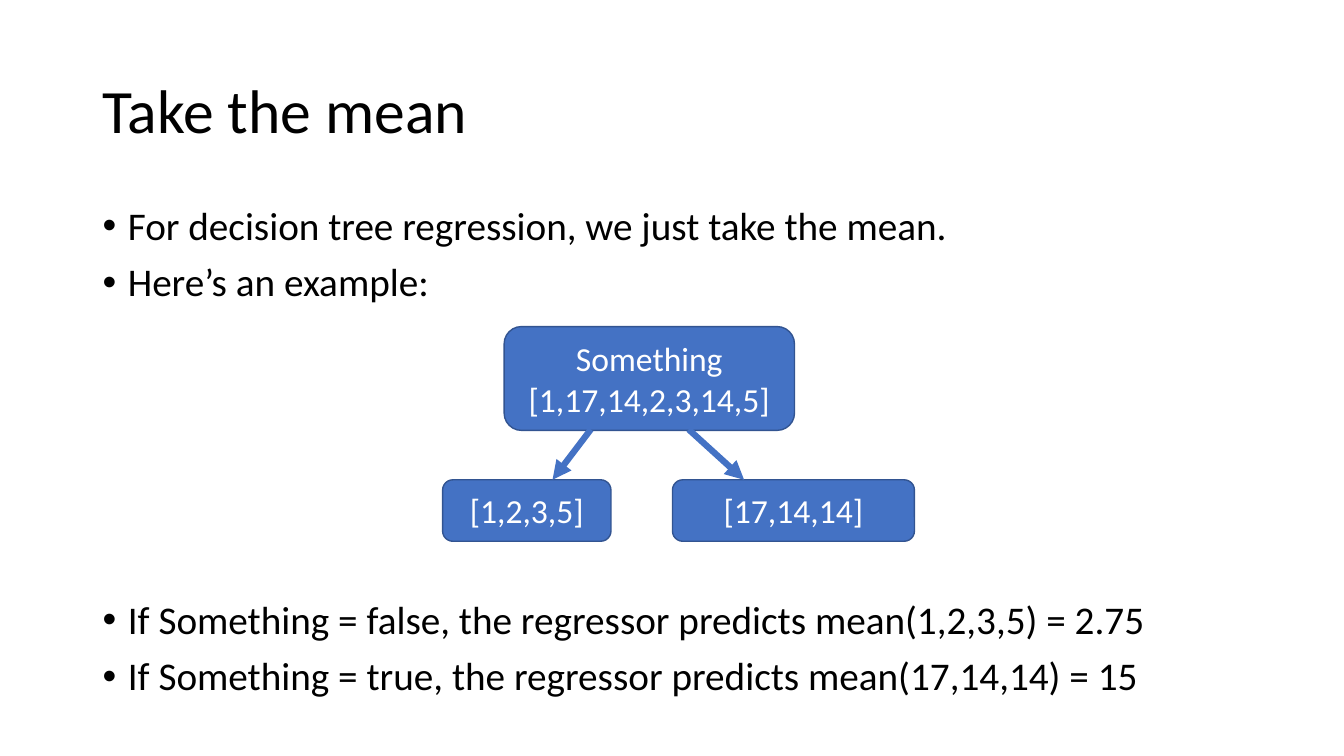
"""Builds a slide on how decision tree regression takes the mean of each leaf."""
from lxml.etree import SubElement
from pptx import Presentation
from pptx.dml.color import RGBColor
from pptx.enum.shapes import MSO_CONNECTOR, MSO_SHAPE
from pptx.enum.text import MSO_ANCHOR, PP_ALIGN
from pptx.oxml.ns import qn
from pptx.util import Pt

PX = 9144
THEME = {
    "font": "Calibri",
    "text": RGBColor.from_string("000000"),
    "node": RGBColor.from_string("4472C4"),
    "node_line": RGBColor.from_string("325491"),
    "node_text": RGBColor.from_string("FFFFFF"),
    "title_size": Pt(44),
    "body_size": Pt(28),
    "node_size": Pt(24),
}


def px(*lengths):
    return [length * PX for length in lengths]


def style(paragraph, size, color):
    for run in paragraph.runs:
        run.font.name = THEME["font"]
        run.font.size = size
        run.font.color.rgb = color


deck = Presentation()
deck.slide_width, deck.slide_height = px(1333, 750)
slide = deck.slides.add_slide(deck.slide_layouts[6])

title = slide.shapes.add_textbox(*px(92, 40, 1150, 145)).text_frame
title.word_wrap = True
title.vertical_anchor = MSO_ANCHOR.MIDDLE
title.text = "Take the mean"
title.paragraphs[0].line_spacing = 0.9
style(title.paragraphs[0], THEME["title_size"], THEME["text"])

points = [
    ("For decision tree regression, we just take the mean.", 10),
    ("Here’s an example:", 10),
    ("If Something = false, the regressor predicts mean(1,2,3,5) = 2.75", 211),
    ("If Something = true, the regressor predicts mean(17,14,14) = 15", 10),
]
body = slide.shapes.add_textbox(*px(92, 200, 1150, 530)).text_frame
body.word_wrap = True
body.text = "\n".join(wording for wording, gap in points)
for point, (wording, gap) in zip(body.paragraphs, points):
    point.line_spacing = 0.9
    point.space_before = Pt(gap)
    style(point, THEME["body_size"], THEME["text"])
    layout = point._p.get_or_add_pPr()
    layout.set("marL", str(25 * PX))
    layout.set("indent", str(-25 * PX))
    SubElement(layout, qn("a:buFont"), typeface="Arial")
    SubElement(layout, qn("a:buChar"), char="•")

tree_nodes = [
    ("Something\v[1,17,14,2,3,14,5]", (500, 324, 288, 103)),
    ("[17,14,14]", (667, 476, 240, 61)),
    ("[1,2,3,5]", (439, 476, 167, 61)),
]
for values, bounds in tree_nodes:
    node = slide.shapes.add_shape(MSO_SHAPE.ROUNDED_RECTANGLE, *px(*bounds))
    node.shadow.inherit = False
    node.fill.solid()
    node.fill.fore_color.rgb = THEME["node"]
    node.line.color.rgb = THEME["node_line"]
    node.line.width = Pt(1)
    label = node.text_frame
    label.word_wrap = True
    label.vertical_anchor = MSO_ANCHOR.MIDDLE
    label.text = values
    label.paragraphs[0].alignment = PP_ALIGN.CENTER
    style(label.paragraphs[0], THEME["node_size"], THEME["node_text"])

for start_x, end_x in [(586, 548), (683, 738)]:
    branch = slide.shapes.add_connector(
        MSO_CONNECTOR.STRAIGHT, *px(start_x, 426, end_x, 476))
    branch.line.color.rgb = THEME["node"]
    branch.line.width = Pt(4.5)
    SubElement(branch.line._get_or_add_ln(), qn("a:tailEnd"), type="triangle")
    SubElement(branch._element.spPr, qn("a:effectLst"))

deck.save("out.pptx")
